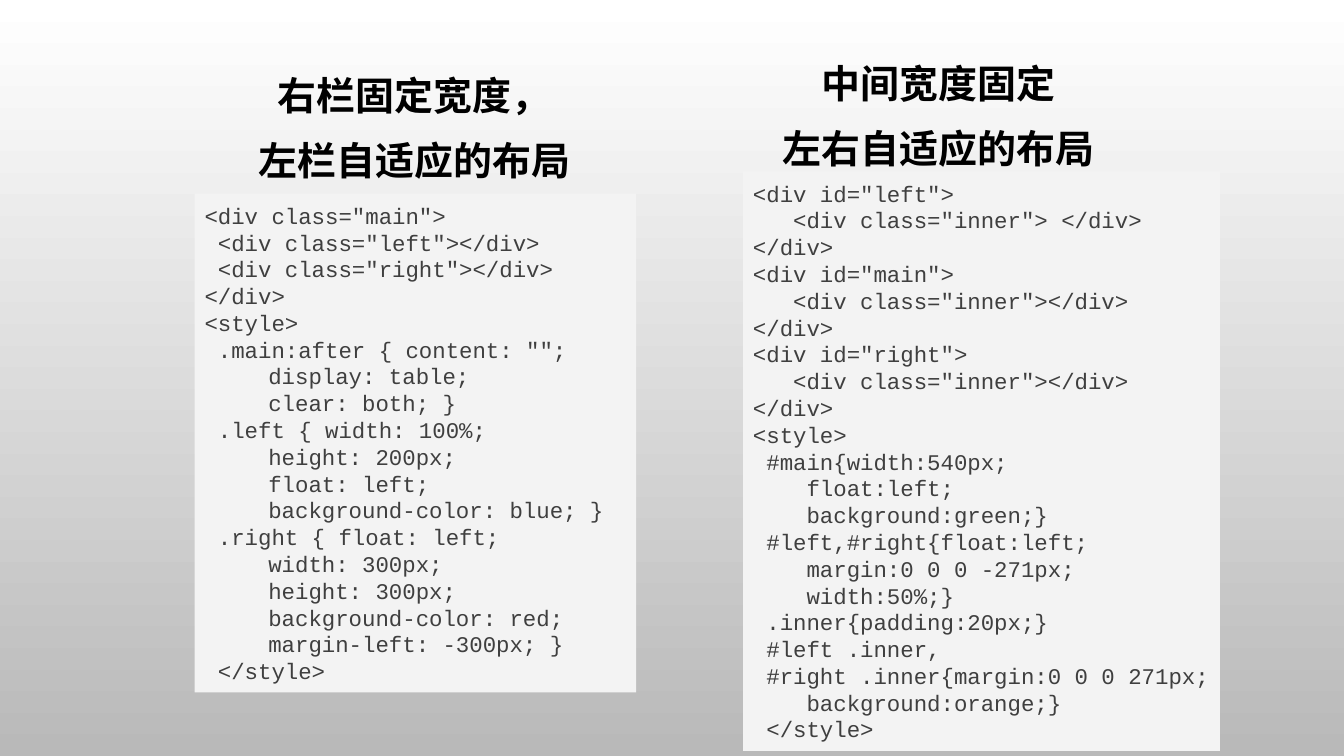
from pptx import Presentation
from pptx import util as u
from pptx.dml import color
from pptx.enum import shapes, text

COLORS = {"top": "FFFFFF", "bottom": "B9B9B9", "panel": "F3F3F3",
          "code": "3F3F3F", "heading": "000000"}
HEADING = {"font": "Noto Sans CJK SC", "size": 27.8, "ink": "heading", "bold": True,
           "align": text.PP_ALIGN.CENTER, "pitch": 36.4, "before": 10}
CODE = {"font": "Courier New", "size": 16, "ink": "code", "bold": False,
        "align": text.PP_ALIGN.LEFT, "pitch": 19.15, "before": 0}

RIGHT_FIXED = """<div class="main">
 <div class="left"></div>
 <div class="right"></div>
</div>
<style>
 .main:after { content: "";
\t display: table;
\t clear: both; }
 .left { width: 100%;
\t height: 200px;
\t float: left;
\t background-color: blue; }
 .right { float: left;
\t width: 300px;
\t height: 300px;
\t background-color: red;
\t margin-left: -300px; }
 </style>"""

MIDDLE_FIXED = """<div id="left">
   <div class="inner"> </div>
</div>
<div id="main">
   <div class="inner"></div>
</div>
<div id="right">
   <div class="inner"></div>
</div>
<style>
 #main{width:540px;
    float:left;
    background:green;}
 #left,#right{float:left;
    margin:0 0 0 -271px;
    width:50%;}
 .inner{padding:20px;}
 #left .inner,
 #right .inner{margin:0 0 0 271px;
    background:orange;}
 </style>"""


def rgb(name):
    """Return the named colour."""
    return color.RGBColor.from_string(COLORS[name])


def write(frame, content, *, font, size, ink, bold, align, pitch, before):
    """Fill a frame with one paragraph per line; a leading tab indents it."""
    frame.word_wrap = True
    frame.auto_size = text.MSO_AUTO_SIZE.NONE
    frame.vertical_anchor = text.MSO_ANCHOR.MIDDLE
    for number, line in enumerate(content.split("\n")):
        para = frame.add_paragraph() if number else frame.paragraphs[0]
        para.alignment = align
        para.line_spacing = u.Pt(pitch)
        para.space_before = u.Pt(before)
        if line.startswith("\t"):
            para.level = 1
            properties = para._p.get_or_add_pPr()
            properties.set("marL", str(u.Inches(0.5)))
            properties.set("indent", "0")
        span = para.add_run()
        span.text = line.lstrip("\t")
        span.font.name = font
        span.font.size = u.Pt(size)
        span.font.bold = bold
        span.font.color.rgb = rgb(ink)
        east_asian = span._r.get_or_add_rPr().makeelement(
            "{http://schemas.openxmlformats.org/drawingml/2006/main}ea", {"typeface": font})
        span._r.rPr.append(east_asian)


class Page:
    """Holds the current slide and draws its elements in one style."""

    def __init__(self, deck):
        self.slide = deck.slides.add_slide(deck.slide_layouts[5])

    def background(self):
        """Shade the page from top to bottom."""
        fill = self.slide.background.fill
        fill.gradient()
        fill.gradient_angle = 270
        for stop, name in zip(fill.gradient_stops, ("top", "bottom")):
            stop.color.rgb = rgb(name)

    def title(self, content, left, top, width, height):
        """Move and fill the title placeholder."""
        box = self.slide.shapes.title
        box.left, box.top, box.width, box.height = map(u.Inches, (left, top, width, height))
        write(box.text_frame, content, **HEADING)

    def heading(self, content, *place):
        """Add a heading in a text box."""
        box = self.slide.shapes.add_textbox(*map(u.Inches, place))
        write(box.text_frame, content, **HEADING)

    def code(self, content, *place):
        """Add a listing on a pale panel."""
        panel = self.slide.shapes.add_shape(shapes.MSO_SHAPE.RECTANGLE, *map(u.Inches, place))
        panel.shadow.inherit = False
        panel.fill.solid()
        panel.fill.fore_color.rgb = rgb("panel")
        panel.line.fill.background()
        write(panel.text_frame, content, **CODE)


def main():
    """Build the slide on two column layouts."""
    deck = Presentation()
    deck.slide_width, deck.slide_height = u.Inches(13.33), u.Inches(7.5)
    page = Page(deck)
    page.background()
    page.title("右栏固定宽度，\n左栏自适应的布局", 2.29, 0.57, 3.64, 1.35)
    page.code(RIGHT_FIXED, 1.93, 1.92, 4.38, 4.95)
    page.heading("中间宽度固定\n左右自适应的布局", 7.62, 0.45, 3.38, 1.35)
    page.code(MIDDLE_FIXED, 7.37, 1.7, 4.73, 5.75)
    deck.save("out.pptx")


main()
